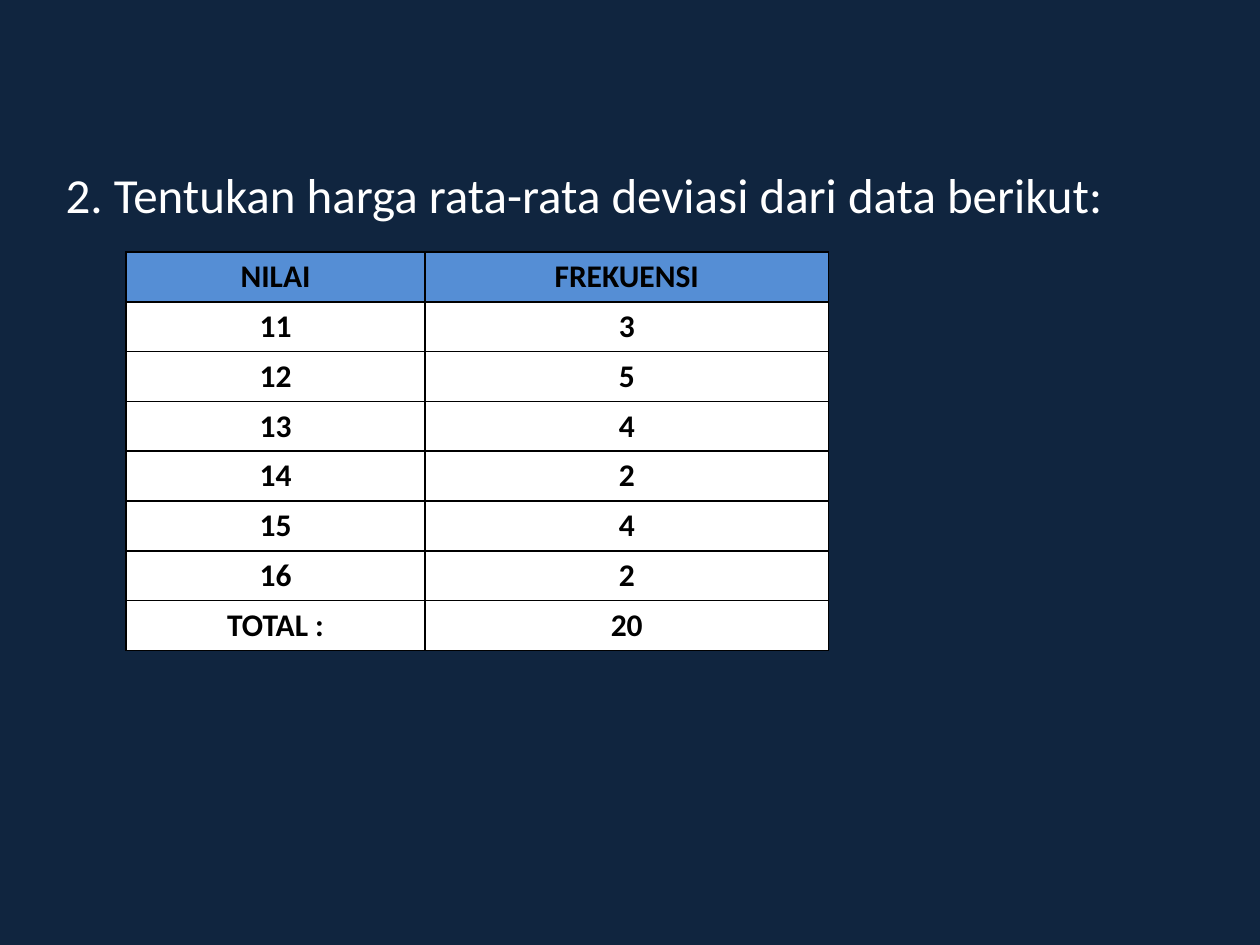
import pptx
import pptx.util
import pptx.dml.color
import pptx.enum.text
import pptx.oxml
import pptx.oxml.ns
from pptx.util import Cm, Pt

# Content
QUESTION = "2. Tentukan harga rata-rata deviasi dari data berikut:"
HEADER = ("NILAI", "FREKUENSI")
FREQUENCIES = [(11, 3), (12, 5), (13, 4), (14, 2), (15, 4), (16, 2)]
TOTAL = ("TOTAL :", sum(frequency for _, frequency in FREQUENCIES))
ROWS = [HEADER, *FREQUENCIES, TOTAL]

# Style
FONT = "Calibri"
NAVY, BLUE, WHITE, BLACK = "10253F", "558ED5", "FFFFFF", "000000"
COLUMN_WIDTHS = (Cm(6.03), Cm(8.13))
ROW_HEIGHT = Cm(1.005)
HANGING_INDENT = Cm(0.95)


def paint(color_owner, color):
    """Fill a fill format with one solid colour."""
    color_owner.solid()
    color_owner.fore_color.rgb = pptx.dml.color.RGBColor.from_string(color)


def set_font(paragraph, size, color, bold=False):
    font = paragraph.font
    font.name, font.size, font.bold = FONT, Pt(size), bold
    paint(font.fill, color)


def add_borders(cell, color, width):
    """Draw the four cell borders, which must precede the cell fill."""
    properties = cell._tc.get_or_add_tcPr()
    for position, side in enumerate(("lnL", "lnR", "lnT", "lnB")):
        properties.insert(position, pptx.oxml.parse_xml(
            f'<a:{side} {pptx.oxml.ns.nsdecls("a")} w="{Pt(width)}">'
            f'<a:solidFill><a:srgbClr val="{color}"/></a:solidFill></a:{side}>'))


def add_question(slide):
    body = slide.placeholders[1]
    body.left, body.top, body.width, body.height = Cm(1.07), Cm(3.18), Cm(22.86), Cm(12.57)
    paragraph = body.text_frame.paragraphs[0]
    paragraph.text = QUESTION
    set_font(paragraph, 28, WHITE)
    # Hanging indent without a bullet
    properties = paragraph._p.get_or_add_pPr()
    properties.set("marL", str(HANGING_INDENT))
    properties.set("indent", str(-HANGING_INDENT))
    properties.insert(0, pptx.oxml.parse_xml(f'<a:buNone {pptx.oxml.ns.nsdecls("a")}/>'))


def add_frequency_table(slide):
    table = slide.shapes.add_table(
        len(ROWS), len(HEADER), Cm(2.54), Cm(5.08),
        sum(COLUMN_WIDTHS), ROW_HEIGHT * len(ROWS)).table
    for column, width in zip(table.columns, COLUMN_WIDTHS):
        column.width = width
    for row_index, values in enumerate(ROWS):
        table.rows[row_index].height = ROW_HEIGHT
        for column_index, value in enumerate(values):
            cell = table.cell(row_index, column_index)
            cell.text = str(value)
            cell.vertical_anchor = pptx.enum.text.MSO_ANCHOR.MIDDLE
            cell.margin_left = cell.margin_right = Cm(0.18)
            cell.margin_top = cell.margin_bottom = 0
            paint(cell.fill, BLUE if row_index == 0 else WHITE)
            add_borders(cell, BLACK, 1)
            paragraph = cell.text_frame.paragraphs[0]
            paragraph.alignment = pptx.enum.text.PP_ALIGN.CENTER
            set_font(paragraph, 18, BLACK, bold=True)


def main():
    presentation = pptx.Presentation()
    presentation.slide_width, presentation.slide_height = Cm(25.4), Cm(19.05)
    # Title and content layout: the question is body text, there is no title
    slide = presentation.slides.add_slide(presentation.slide_layouts[1])
    title = slide.shapes.title.element
    title.getparent().remove(title)
    paint(slide.background.fill, NAVY)
    add_question(slide)
    add_frequency_table(slide)
    presentation.save("out.pptx")


if __name__ == "__main__":
    main()
